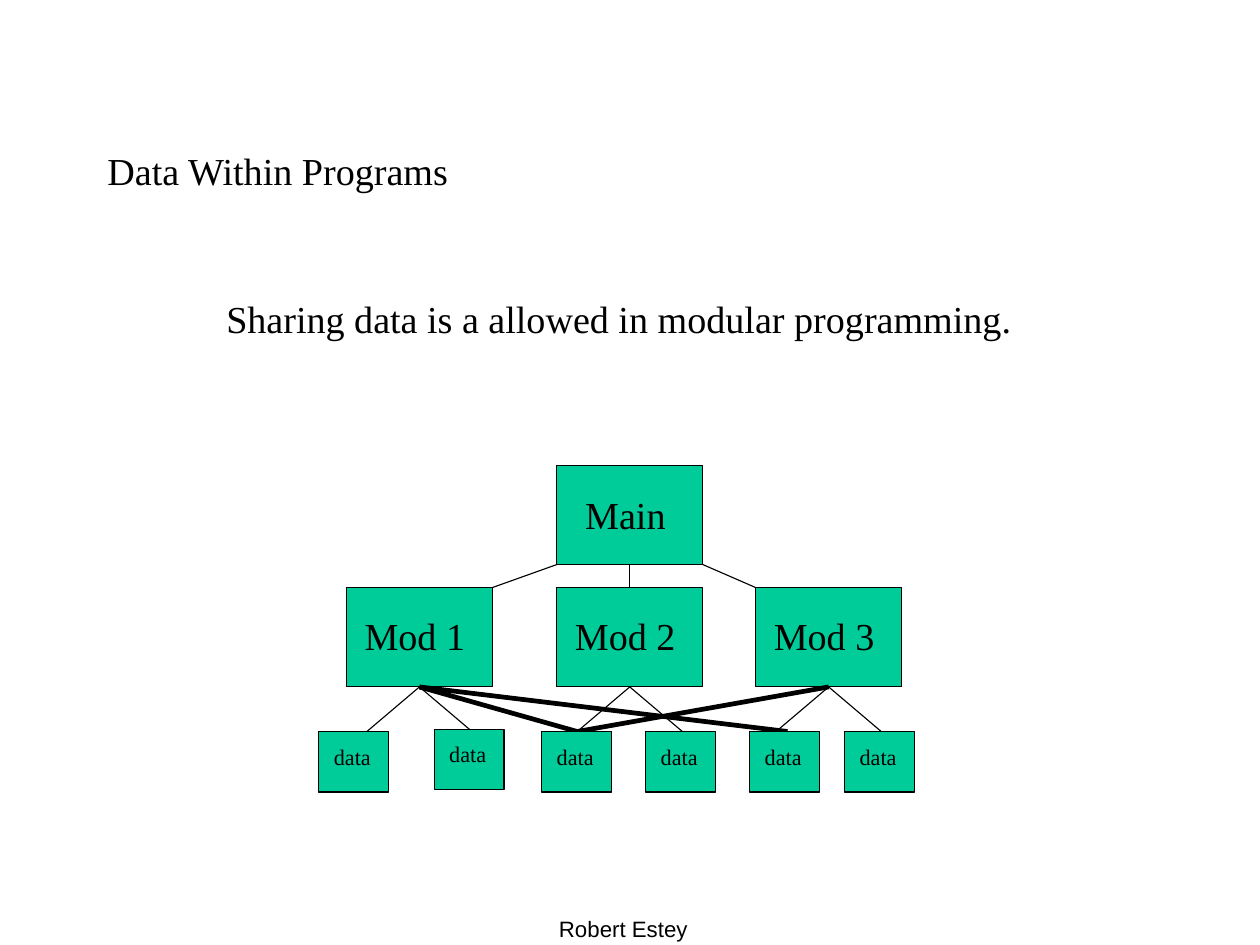
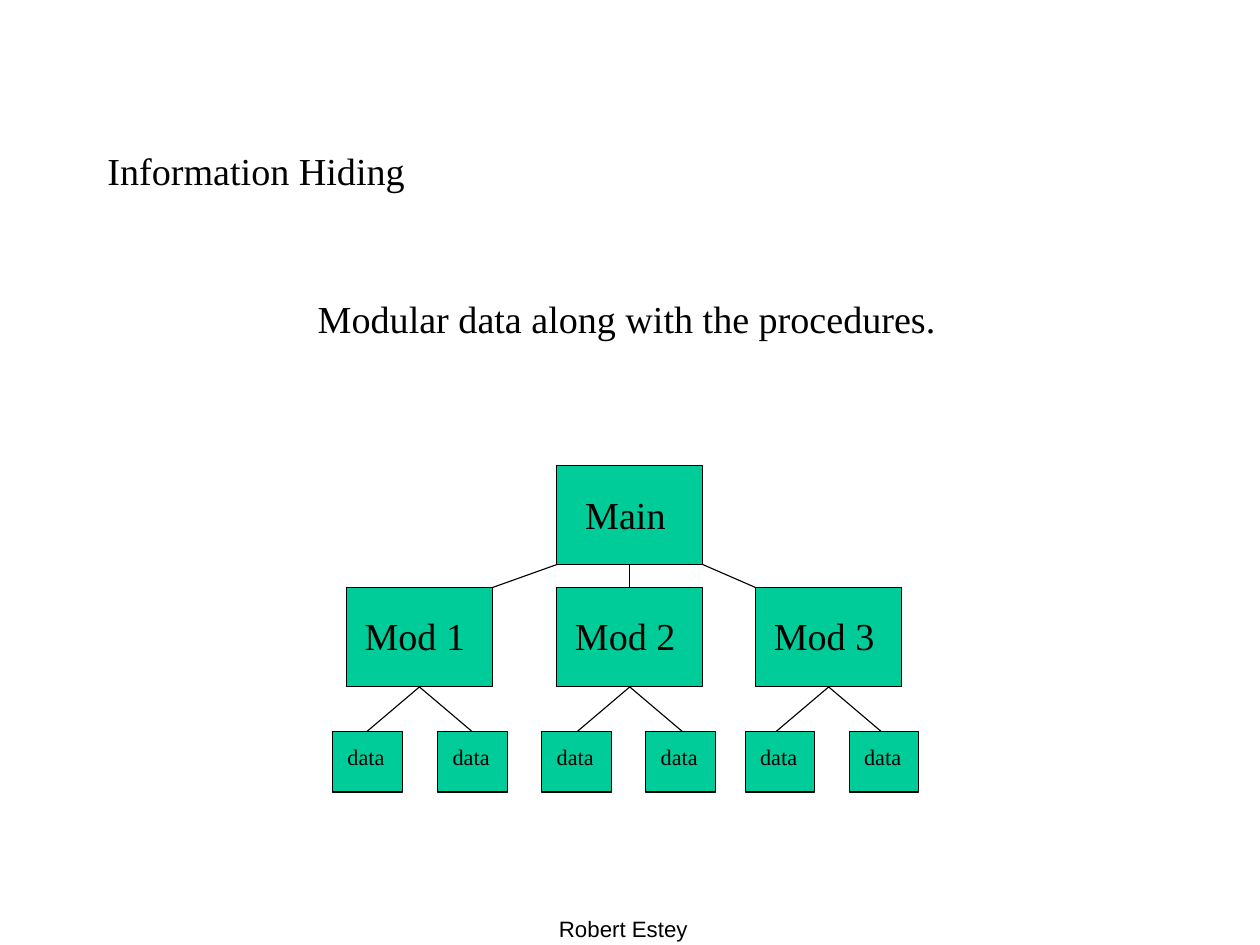
"""Build two slides that compare shared data with information hiding."""
from pptx import Presentation
from pptx.dml.color import RGBColor
from pptx.enum.shapes import MSO_CONNECTOR, MSO_SHAPE
from pptx.enum.text import MSO_ANCHOR, PP_ALIGN
from pptx.oxml.ns import qn
from pptx.util import Cm, Inches, Pt
from lxml.etree import SubElement

BLACK = RGBColor(0x00, 0x00, 0x00)
GREEN = RGBColor(0x00, 0xCC, 0x99)
SERIF, SANS = "Times New Roman", "Arial"
LARGE, SMALL = 24, 14
THIN, THICK = 0.71, 2.98

SLIDE_WIDTH, SLIDE_HEIGHT = Cm(28), Cm(21)
MODULE_SIZE = (1.28, 0.87)
DATA_SIZE = (0.61, 0.53)
MODULE_COLUMNS = (3.03, 4.87, 6.61)
MODULE_CENTERS = [left + MODULE_SIZE[0] / 2 for left in MODULE_COLUMNS]
MAIN_ROW, MODULE_ROW, DATA_ROW = 4.07, 5.14, 6.4
MAIN_BOTTOM = MAIN_ROW + MODULE_SIZE[1]
MODULE_BOTTOM = MODULE_ROW + MODULE_SIZE[1]
DATA_SPREAD = 0.46


def write_text(shape, text, size, font_name=SERIF, insets=(0, 0)):
    """Write one left-aligned line at the given left and top insets."""
    frame = shape.text_frame
    frame.word_wrap = True
    frame.vertical_anchor = MSO_ANCHOR.TOP
    frame.margin_left, frame.margin_top = map(Inches, insets)
    frame.margin_right = frame.margin_bottom = 0
    paragraph = frame.paragraphs[0]
    paragraph.text = text
    paragraph.alignment = PP_ALIGN.LEFT
    paragraph.font.name = font_name
    paragraph.font.size = Pt(size)
    paragraph.font.color.rgb = BLACK


def add_label(slide, left, top, width, text, size=LARGE, font_name=SERIF):
    """Add a single line of text."""
    bounds = map(Inches, (left, top, width, size / 56))
    write_text(slide.shapes.add_textbox(*bounds), text, size, font_name)


def add_box(slide, left, top, box_size, text, font_size, insets):
    """Add a green box with its caption."""
    bounds = map(Inches, (left, top, *box_size))
    box = slide.shapes.add_shape(MSO_SHAPE.RECTANGLE, *bounds)
    box.shadow.inherit = False
    box.fill.solid()
    box.fill.fore_color.rgb = GREEN
    box.line.color.rgb = BLACK
    box.line.width = Pt(THIN)
    write_text(box, text, font_size, insets=insets)


def add_line(slide, start, end, width=THIN):
    """Add a straight black line between two points."""
    points = map(Inches, (*start, *end))
    line = slide.shapes.add_connector(MSO_CONNECTOR.STRAIGHT, *points)
    line.line.color.rgb = BLACK
    line.line.width = Pt(width)
    SubElement(line._element.spPr, qn("a:effectLst"))


def add_modules(slide):
    """Add the main box, its three modules and the lines between them."""
    main_left = MODULE_COLUMNS[1]
    add_box(slide, main_left, MAIN_ROW, MODULE_SIZE, "Main", LARGE, (0.25, 0.23))
    for number, left in enumerate(MODULE_COLUMNS, 1):
        add_box(slide, left, MODULE_ROW, MODULE_SIZE, f"Mod {number}", LARGE, (0.16, 0.22))
    main_right = main_left + MODULE_SIZE[0]
    starts = (main_left, MODULE_CENTERS[1], main_right)
    ends = (MODULE_COLUMNS[0] + MODULE_SIZE[0], MODULE_CENTERS[1], MODULE_COLUMNS[2])
    for start, end in zip(starts, ends):
        add_line(slide, (start, MAIN_BOTTOM), (end, MODULE_ROW))


def add_data(slide, data_places, shared_links):
    """Add own and shared links below the modules, then the data boxes."""
    for center in MODULE_CENTERS:
        for offset in (-DATA_SPREAD, DATA_SPREAD):
            add_line(slide, (center, MODULE_BOTTOM), (center + offset, DATA_ROW))
    for module, end in shared_links:
        add_line(slide, (MODULE_CENTERS[module], MODULE_BOTTOM), (end, DATA_ROW), THICK)
    for left, top in data_places:
        add_box(slide, left, top, DATA_SIZE, "data", SMALL, (0.13, 0.1))


def add_diagram_slide(presentation, title, statement, statement_left,
                      statement_width, data_places, shared_links=()):
    """Add a slide with title, statement, module diagram and footer."""
    slide = presentation.slides.add_slide(presentation.slide_layouts[6])
    add_label(slide, 4.89, 8.01, 1.25, "Robert Estey", SMALL, SANS)
    add_label(slide, 0.94, 1.29, 3.31, title)
    add_label(slide, statement_left, 2.58, statement_width, statement)
    add_modules(slide)
    add_data(slide, data_places, shared_links)


def main():
    """Build and save the presentation."""
    presentation = Presentation()
    presentation.slide_width = SLIDE_WIDTH
    presentation.slide_height = SLIDE_HEIGHT
    add_diagram_slide(
        presentation, "Data Within Programs",
        "Sharing data is a allowed in modular programming.", 1.98, 6.97,
        [(2.79, DATA_ROW), (3.8, DATA_ROW - 0.02), (4.74, DATA_ROW),
         (5.65, DATA_ROW), (6.56, DATA_ROW), (7.39, DATA_ROW)],
        shared_links=[(0, 5.05), (0, 6.89), (2, 5.05)])
    add_diagram_slide(
        presentation, "Information Hiding",
        "Modular data along with the procedures.", 2.78, 5.42,
        [(left, DATA_ROW) for left in (2.91, 3.83, 4.74, 5.65, 6.52, 7.43)])
    presentation.save("out.pptx")


if __name__ == "__main__":
    main()
